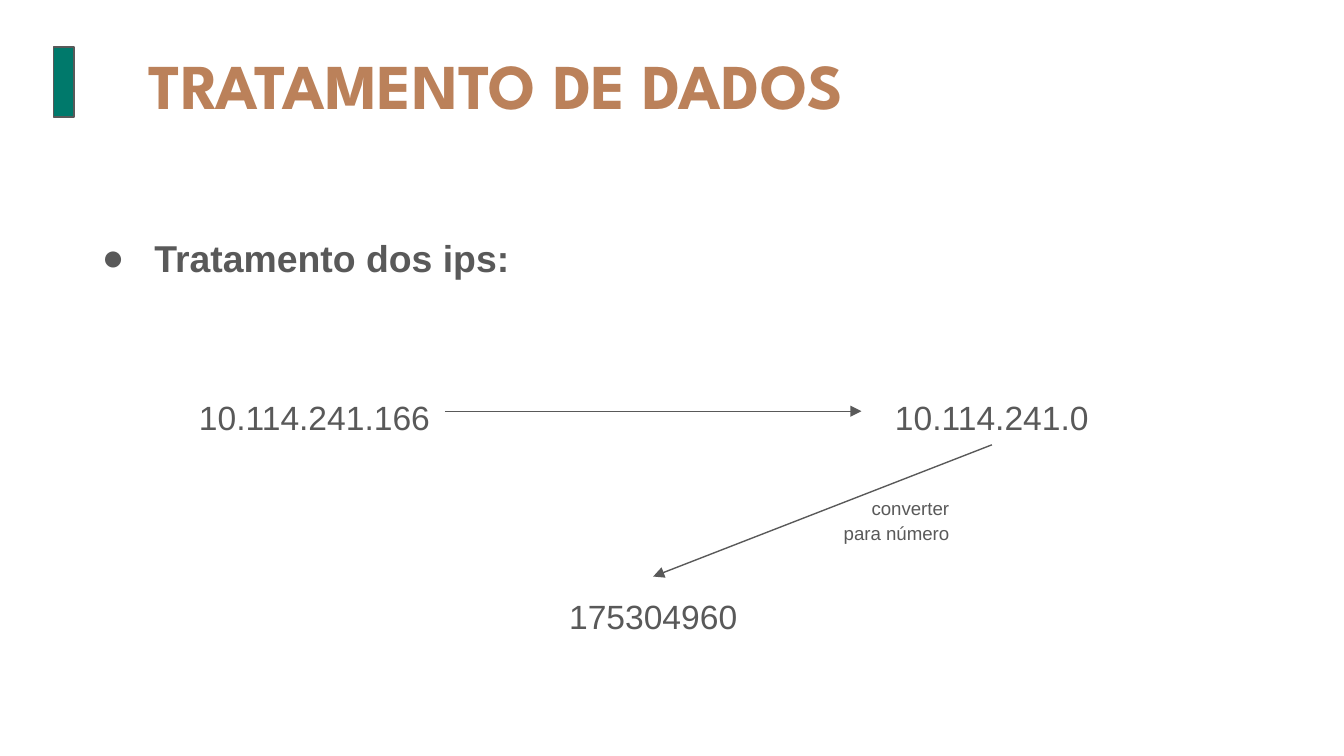
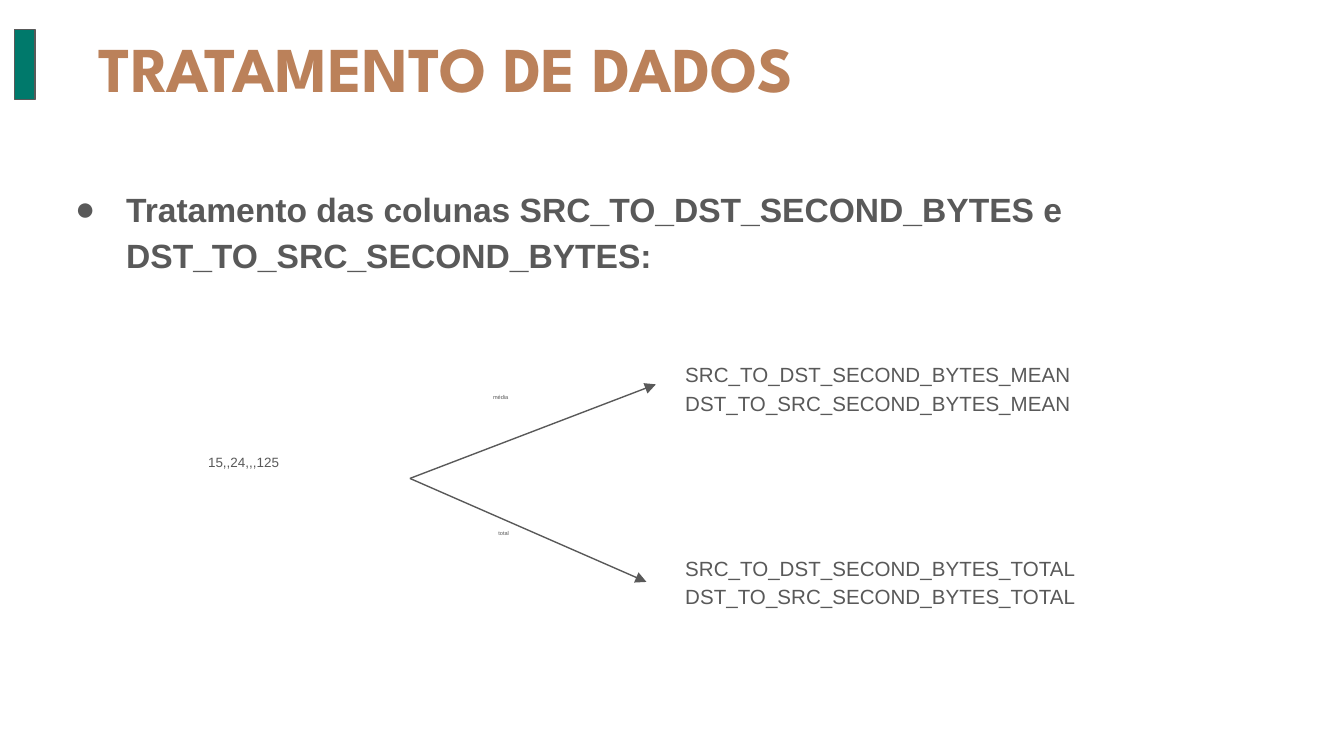
from lxml import etree
from pptx import Presentation
from pptx.dml.color import RGBColor
from pptx.enum.shapes import MSO_CONNECTOR, MSO_SHAPE
from pptx.enum.text import MSO_ANCHOR, PP_ALIGN
from pptx.oxml.ns import qn
from pptx.util import Inches, Pt

LEFT, CENTER, RIGHT = PP_ALIGN.LEFT, PP_ALIGN.CENTER, PP_ALIGN.RIGHT
TOP = MSO_ANCHOR.TOP
STRAIGHT = MSO_CONNECTOR.STRAIGHT
RECTANGLE = MSO_SHAPE.RECTANGLE
TOP_SIDE, LEFT_SIDE, BOTTOM_SIDE, RIGHT_SIDE = range(4)

GRAY, GREEN, COPPER = "595959", "00796B", "BB815A"
BODY_FONT, TITLE_FONT = "Arial", "League Spartan"
TITLE = "TRATAMENTO DE DADOS"
SLIDE_WIDTH = 10


def color(value):
    """Turn a hex string into a colour."""
    return RGBColor.from_string(value)


def add_bullet(para, indent):
    """Give a paragraph a round bullet with a hanging indent."""
    props = para._p.get_or_add_pPr()
    props.set("marL", str(Inches(0.5)))
    props.set("indent", str(-Inches(indent)))
    bullet_color = etree.SubElement(props, qn("a:buClr"))
    etree.SubElement(bullet_color, qn("a:srgbClr"), val=GRAY)
    etree.SubElement(props, qn("a:buFont"), typeface=BODY_FONT)
    etree.SubElement(props, qn("a:buChar"), char="●")


def add_text(page, box, lines, size, align=LEFT, font=BODY_FONT, ink=GRAY,
             bold=False, spacing=1.15, after=0, hanging=None, inset_top=0.1):
    """Write one paragraph per line in a text box."""
    shape = page.shapes.add_textbox(*map(Inches, box))
    frame = shape.text_frame
    frame.word_wrap = True
    frame.vertical_anchor = TOP
    frame.margin_left = frame.margin_right = frame.margin_bottom = Inches(0.1)
    frame.margin_top = Inches(inset_top)
    frame.text = "\n".join(lines)
    for para in frame.paragraphs:
        para.alignment = align
        para.line_spacing = spacing
        para.space_after = Pt(after)
        if hanging:
            add_bullet(para, hanging)
        para.font.name = font
        para.font.size = Pt(size)
        para.font.bold = bold
        para.font.color.rgb = color(ink)
    return shape


def add_arrow(page, source, source_side, target=None, target_side=None, end=(0, 0)):
    """Draw an arrow from a shape's side to another shape or a point."""
    x, y = map(Inches, end)
    arrow = page.shapes.add_connector(STRAIGHT, x, y, x, y)
    arrow.begin_connect(source, source_side)
    if target is not None:
        arrow.end_connect(target, target_side)
    arrow.line.color.rgb = color(GRAY)
    arrow.line.width = Pt(0.75)
    etree.SubElement(arrow.line._get_or_add_ln(), qn("a:tailEnd"), type="triangle")
    etree.SubElement(arrow._element.spPr, qn("a:effectLst"))


def add_header(page, bar_left, bar_top, title_left):
    """Place the green bar and the slide title."""
    add_text(page, (title_left, bar_top - 0.11, 9.32, 0.63), [TITLE], 34.2,
             CENTER, TITLE_FONT, COPPER, bold=True, spacing=1)
    bar = page.shapes.add_shape(
        RECTANGLE, *map(Inches, (bar_left, bar_top, 0.15, 0.52)))
    bar.shadow.inherit = False
    bar.fill.solid()
    bar.fill.fore_color.rgb = color(GREEN)
    bar.line.color.rgb = color(GRAY)
    bar.line.width = Pt(0.75)


def add_conversion(page, box):
    """Show an address being masked and converted to a number."""
    left, top, width, height = box
    node_width, node_height = 1.94, 0.5
    right = left + width - node_width
    low = top + height - node_height
    nodes = [
        add_text(page, (x, y, node_width, node_height), [text], 18, CENTER, after=12)
        for x, y, text in (
            (left, top, "10.114.241.166"),
            (right, top, "10.114.241.0"),
            ((left + right) / 2, low, "175304960"),
        )
    ]
    address, network, number = nodes
    add_arrow(page, address, RIGHT_SIDE, network, LEFT_SIDE)
    add_arrow(page, network, BOTTOM_SIDE, number, TOP_SIDE)
    add_text(page, (left + 3.85, top + 0.76, node_width, 0.56),
             ["converter", "para número"], 10, RIGHT)


def add_split(page, box):
    """Show a list of values split into mean and total columns."""
    left, top, width, height = box
    values = add_text(page, (left, top + 0.74, 1.6, 0.5), ["15,,24,,,125"], 7.2,
                      spacing=0.95, after=12, inset_top=0.14)
    column_width, column_height = 3.55, 0.6
    branches = (
        ("média", "MEAN", 0, (3.43, 0.29), (2.12, 0.3)),
        ("total", "TOTAL", height - column_height, (3.36, 1.76), (2.16, 1.31)),
    )
    for label, suffix, drop, (end_x, end_y), (label_x, label_y) in branches:
        add_arrow(page, values, RIGHT_SIDE, end=(left + end_x, top + end_y))
        add_text(page, (left + label_x, top + label_y, 0.65, 0.38), [label], 3,
                 spacing=0.95, after=12, inset_top=0.18)
        names = [f"{way}_SECOND_BYTES_{suffix}" for way in ("SRC_TO_DST", "DST_TO_SRC")]
        add_text(page, (left + width - column_width, top + drop,
                        column_width, column_height), names, 11)


def build_ip_slide(page):
    """Build the slide on the treatment of addresses."""
    add_header(page, 0.4, 0.35, -0.97)
    add_text(page, (0.55, 1.6, 3.8, 0.72), ["Tratamento dos ips:"], 20,
             bold=True, hanging=0.39)
    add_conversion(page, (1.37, 2.81, 6.98, 1.98))


def build_columns_slide(page):
    """Build the slide on the treatment of the byte columns."""
    add_header(page, 0.11, 0.22, -1.34)
    add_text(page, (0.34, 1.26, 9.32, 3.74),
             ["Tratamento das colunas SRC_TO_DST_SECOND_BYTES e "
              "DST_TO_SRC_SECOND_BYTES:"], 18, bold=True, hanging=0.38)
    add_split(page, (1.45, 2.57, 7.1, 2.04))


def main():
    """Build and save the deck."""
    deck = Presentation()
    deck.slide_width = Inches(SLIDE_WIDTH)
    deck.slide_height = Inches(SLIDE_WIDTH * 9 / 16)
    for build in (build_ip_slide, build_columns_slide):
        build(deck.slides.add_slide(deck.slide_layouts[6]))
    deck.save("out.pptx")


if __name__ == "__main__":
    main()
